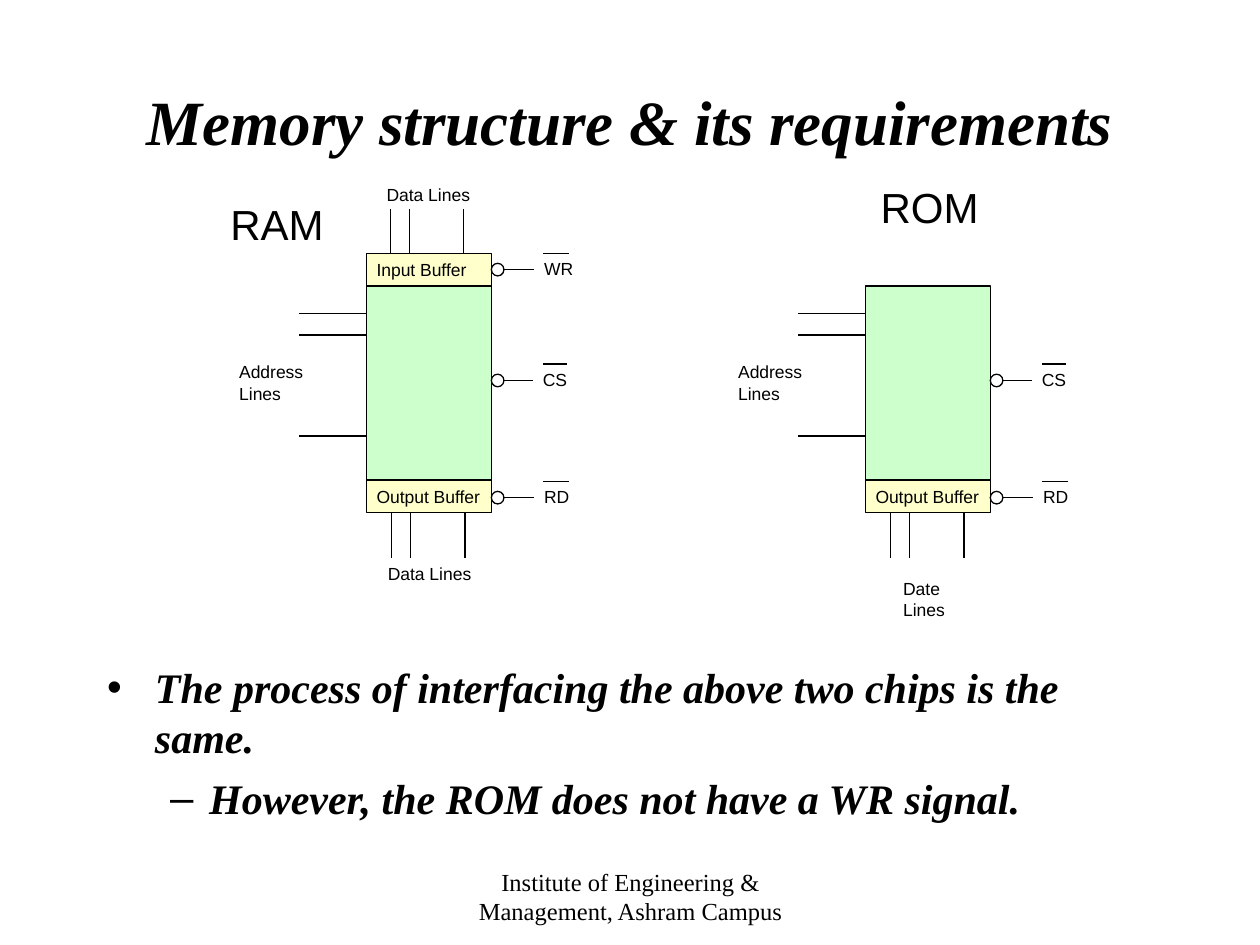
from dataclasses import dataclass

from lxml import etree
from pptx import Presentation
from pptx import util as u
from pptx.dml.color import RGBColor
from pptx.enum import shapes, text
from pptx.oxml.ns import qn

PX = 9144  # EMU in one px, 100 px to the inch
COLORS = {"ink": "000000", "memory": "CCFFCC", "buffer": "FFFFCC"}
SERIF, SANS = "Times New Roman", "Arial"

CHIP_WIDTH, BUFFER_HEIGHT = 99, 26
MEMORY_TOP, MEMORY_HEIGHT = 227, 155
INPUT_TOP, OUTPUT_TOP = 201, 381
ADDRESS_ROWS = (249, 266, 346)
DATA_COLUMNS = (20, 35, 78)
LEAD_LENGTH = 36
CIRCLE = 10


@dataclass
class Label:
    lines: str
    left: int
    top: int
    width: int
    height: int = 27
    size: int = 10


@dataclass
class Pin:
    name: str
    circle_top: int
    lead_end: int
    label_left: int
    label_width: int
    bar_width: int


@dataclass
class Chip:
    left: int
    title: Label
    output_label: Label
    has_input: bool


WRITE = Pin("WR", 209, 133, 131, 43, 21)
SELECT = Pin("CS", 297, 132, 130, 39, 19)
READ = Pin("RD", 390, 133, 131, 40, 21)

CHIPS = [
    Chip(687, Label("ROM", 2, 139, 98, 50, 24),
         Label("Date\nLines", 20, 454, 53, 44), False),
    Chip(291, Label("RAM", -118, 153, 94, 50, 24),
         Label("Data Lines", 7, 442, 86), True),
]


def color(name: str) -> RGBColor:
    return RGBColor.from_string(COLORS[name])


def place(shape, left: int, top: int, width: int, height: int) -> None:
    shape.left, shape.top = u.Emu(left * PX), u.Emu(top * PX)
    shape.width, shape.height = u.Emu(width * PX), u.Emu(height * PX)


def format_spans(para, font: str, size: int, strong: bool = False) -> None:
    for span in para.runs:
        span.font.name, span.font.size = font, u.Pt(size)
        span.font.bold = span.font.italic = strong
        span.font.color.rgb = color("ink")


def add_block(group, kind, left: int, top: int, width: int, height: int,
              fill: str = "") -> None:
    """Add an outlined shape, unfilled when no fill is named."""
    block = group.shapes.add_shape(kind, 0, 0, 0, 0)
    place(block, left, top, width, height)
    block.shadow.inherit = False
    if fill:
        block.fill.solid()
        block.fill.fore_color.rgb = color(fill)
    else:
        block.fill.background()
    block.line.color.rgb = color("ink")
    block.line.width = u.Pt(0.75)


def add_line(group, x1: int, y1: int, x2: int, y2: int) -> None:
    line = group.shapes.add_connector(
        shapes.MSO_CONNECTOR.STRAIGHT, *(u.Emu(v * PX) for v in (x1, y1, x2, y2)))
    line.line.color.rgb = color("ink")
    line.line.width = u.Pt(0.75)
    etree.SubElement(line._element.spPr, qn("a:effectLst"))


def add_label(group, origin: int, label: Label) -> None:
    box = group.shapes.add_textbox(0, 0, 0, 0)
    frame = box.text_frame
    frame.text = label.lines
    frame.word_wrap = False
    frame.auto_size = text.MSO_AUTO_SIZE.SHAPE_TO_FIT_TEXT
    for para in frame.paragraphs:
        format_spans(para, SANS, label.size)
    place(box, origin + label.left, label.top, label.width, label.height)


def add_buffer(group, left: int, top: int, name: str, label_width: int) -> None:
    add_block(group, shapes.MSO_SHAPE.RECTANGLE, left, top,
              CHIP_WIDTH, BUFFER_HEIGHT, "buffer")
    add_label(group, left, Label(name, -2, top, label_width))


def add_data_lines(group, left: int, top: int) -> None:
    for column in DATA_COLUMNS:
        add_line(group, left + column, top, left + column, top + LEAD_LENGTH)


def add_pin(group, left: int, pin: Pin) -> None:
    """Add an active-low pin: circle, lead and overlined name."""
    middle = pin.circle_top + CIRCLE // 2
    add_block(group, shapes.MSO_SHAPE.OVAL, left + CHIP_WIDTH,
              pin.circle_top, CIRCLE, CIRCLE)
    add_line(group, left + pin.lead_end, middle,
             left + CHIP_WIDTH + CIRCLE, middle)
    label_top = middle - 14
    add_label(group, left, Label(pin.name, pin.label_left, label_top, pin.label_width))
    bar_left = left + 140
    add_line(group, bar_left, label_top + 1, bar_left + pin.bar_width, label_top + 1)


def add_chip(slide, chip: Chip) -> None:
    group = slide.shapes.add_group_shape()
    left = chip.left
    add_block(group, shapes.MSO_SHAPE.RECTANGLE, left, MEMORY_TOP,
              CHIP_WIDTH, MEMORY_HEIGHT, "memory")
    add_buffer(group, left, OUTPUT_TOP, "Output Buffer", 102)
    for row in ADDRESS_ROWS:
        add_line(group, left, row, left - 54, row)
    add_data_lines(group, left, OUTPUT_TOP + BUFFER_HEIGHT)
    for pin in (SELECT, READ):
        add_pin(group, left, pin)
    for label in (Label("Address\nLines", -111, 282, 71, 44),
                  chip.output_label, chip.title):
        add_label(group, left, label)
    if chip.has_input:
        add_buffer(group, left, INPUT_TOP, "Input Buffer", 91)
        add_pin(group, left, WRITE)
        add_data_lines(group, left - 1, INPUT_TOP + 1 - LEAD_LENGTH)
        add_label(group, left, Label("Data Lines", 6, 141, 86))


def add_bullet(para, mark: str, margin: int, hanging: int) -> None:
    properties = para._p.get_or_add_pPr()
    properties.set("marL", str(margin * PX))
    properties.set("indent", str(-hanging * PX))
    bullet_color = etree.SubElement(properties, qn("a:buClr"))
    etree.SubElement(bullet_color, qn("a:srgbClr")).set("val", COLORS["ink"])
    etree.SubElement(properties, qn("a:buChar")).set("char", mark)


def fill_title(title) -> None:
    place(title, 75, 33, 850, 125)
    frame = title.text_frame
    frame.text = "Memory structure & its requirements"
    frame.auto_size = text.MSO_AUTO_SIZE.NONE
    frame.vertical_anchor = text.MSO_ANCHOR.MIDDLE
    frame.paragraphs[0].alignment = text.PP_ALIGN.CENTER
    format_spans(frame.paragraphs[0], SERIF, 36, True)


def fill_body(body) -> None:
    place(body, 75, 520, 850, 155)
    frame = body.text_frame
    frame.text = ("The process of interfacing the above two chips is the same.\n"
                  "However, the ROM does not have a WR signal.")
    frame.auto_size = text.MSO_AUTO_SIZE.NONE
    bullets = (("•", 38, 38, 0), ("–", 81, 31, 6))
    for level, (para, bullet) in enumerate(zip(frame.paragraphs, bullets)):
        mark, margin, hanging, space = bullet
        para.level = level
        add_bullet(para, mark, margin, hanging)
        para.space_before = u.Pt(space)
        format_spans(para, SERIF, 24, True)


def add_footer(slide) -> None:
    box = slide.shapes.add_textbox(0, 0, 0, 0)
    place(box, 342, 683, 317, 50)
    frame = box.text_frame
    frame.word_wrap = True
    frame.text = "Institute of Engineering & Management, Ashram Campus"
    frame.paragraphs[0].alignment = text.PP_ALIGN.CENTER
    format_spans(frame.paragraphs[0], SERIF, 14)


def main() -> None:
    deck = Presentation()
    deck.slide_width, deck.slide_height = u.Emu(1000 * PX), u.Emu(750 * PX)
    page = deck.slides.add_slide(deck.slide_layouts[1])
    fill_title(page.shapes.title)
    fill_body(page.placeholders[1])
    for chip in CHIPS:
        add_chip(page, chip)
    add_footer(page)
    deck.save("out.pptx")


if __name__ == "__main__":
    main()
